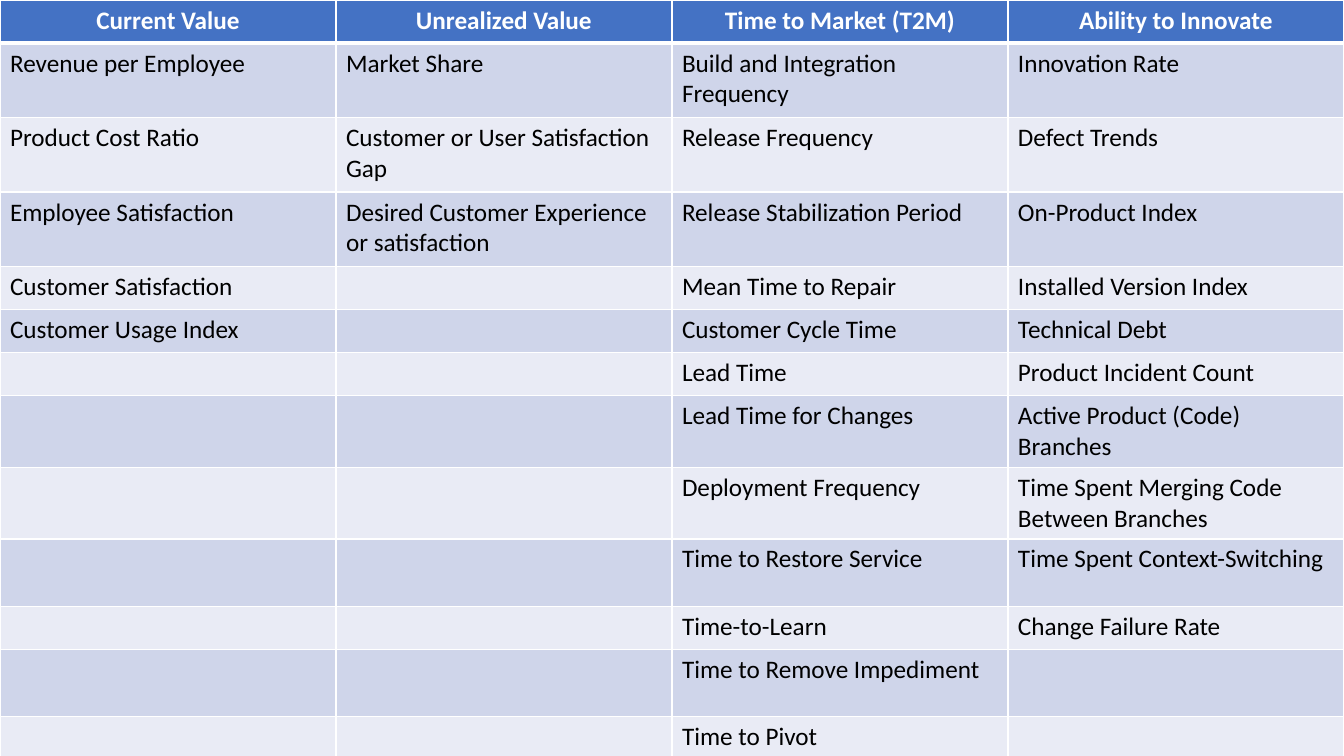
from itertools import zip_longest

from lxml.etree import SubElement
from pptx import Presentation
from pptx.dml.color import RGBColor
from pptx.enum.text import PP_ALIGN
from pptx.oxml.ns import qn
from pptx.util import Emu, Pt

EMU_PER_PX = 9525
WHITE = RGBColor(0xFF, 0xFF, 0xFF)
BLACK = RGBColor(0x00, 0x00, 0x00)
HEADER_BLUE = RGBColor(0x44, 0x72, 0xC4)
BAND_DARK = RGBColor(0xCF, 0xD5, 0xEA)
BAND_LIGHT = RGBColor(0xE9, 0xEB, 0xF5)

MEASURES = {
    "Current Value": [
        "Revenue per Employee", "Product Cost Ratio", "Employee Satisfaction",
        "Customer Satisfaction", "Customer Usage Index",
    ],
    "Unrealized Value": [
        "Market Share", "Customer or User Satisfaction Gap",
        "Desired Customer Experience or satisfaction",
    ],
    "Time to Market (T2M)": [
        "Build and Integration Frequency", "Release Frequency",
        "Release Stabilization Period", "Mean Time to Repair",
        "Customer Cycle Time", "Lead Time", "Lead Time for Changes",
        "Deployment Frequency", "Time to Restore Service", "Time-to-Learn",
        "Time to Remove Impediment", "Time to Pivot",
    ],
    "Ability to Innovate": [
        "Innovation Rate", "Defect Trends", "On-Product Index",
        "Installed Version Index", "Technical Debt", "Product Incident Count",
        "Active Product (Code) Branches",
        "Time Spent Merging Code Between Branches",
        "Time Spent Context-Switching", "Change Failure Rate",
    ],
}
ROW_HEIGHTS = [41, 71, 71, 71, 41, 41, 41, 67, 67, 64, 41, 64, 41]


def px(length):
    return Emu(length * EMU_PER_PX)


class MeasureSlide:
    """Draws banded tables on one slide in a shared style."""

    font_name = "Calibri"
    font_size = Pt(18)

    def __init__(self, slide):
        self.slide = slide

    def border(self, cell, side, width):
        line = SubElement(cell._tc.get_or_add_tcPr(), qn(f"a:ln{side}"), w=str(Pt(width)))
        fill = SubElement(line, qn("a:solidFill"))
        SubElement(fill, qn("a:srgbClr"), val=str(WHITE))

    def cell(self, cell, text, fill, color, bold, align, top, bottom):
        for side, width in (("L", 1), ("R", 1), ("T", top), ("B", bottom)):
            self.border(cell, side, width)
        cell.fill.solid()
        cell.fill.fore_color.rgb = fill
        paragraph = cell.text_frame.paragraphs[0]
        paragraph.alignment = align
        if text:
            run = paragraph.add_run()
            run.text = text
            run.font.name = self.font_name
            run.font.size = self.font_size
            run.font.bold = bold
            run.font.color.rgb = color

    def table(self, left, top, width, columns, row_heights):
        rows = [list(columns), *zip_longest(*columns.values(), fillvalue="")]
        table = self.slide.shapes.add_table(
            len(rows), len(columns), px(left), px(top), px(width), px(sum(row_heights))
        ).table
        for column in table.columns:
            column.width = px(width // len(columns))
        for index, (texts, height) in enumerate(zip(rows, row_heights)):
            table.rows[index].height = px(height)
            if index == 0:
                style = (HEADER_BLUE, WHITE, True, PP_ALIGN.CENTER, 1, 3)
            else:
                band = BAND_DARK if index % 2 else BAND_LIGHT
                style = (band, BLACK, False, PP_ALIGN.LEFT, 3 if index == 1 else 1, 1)
            for position, text in enumerate(texts):
                self.cell(table.cell(index, position), text, *style)


def main():
    presentation = Presentation()
    presentation.slide_width = px(1280)
    presentation.slide_height = px(720)
    slide = presentation.slides.add_slide(presentation.slide_layouts[6])
    MeasureSlide(slide).table(0, 0, 1280, MEASURES, ROW_HEIGHTS)
    presentation.save("out.pptx")


if __name__ == "__main__":
    main()
